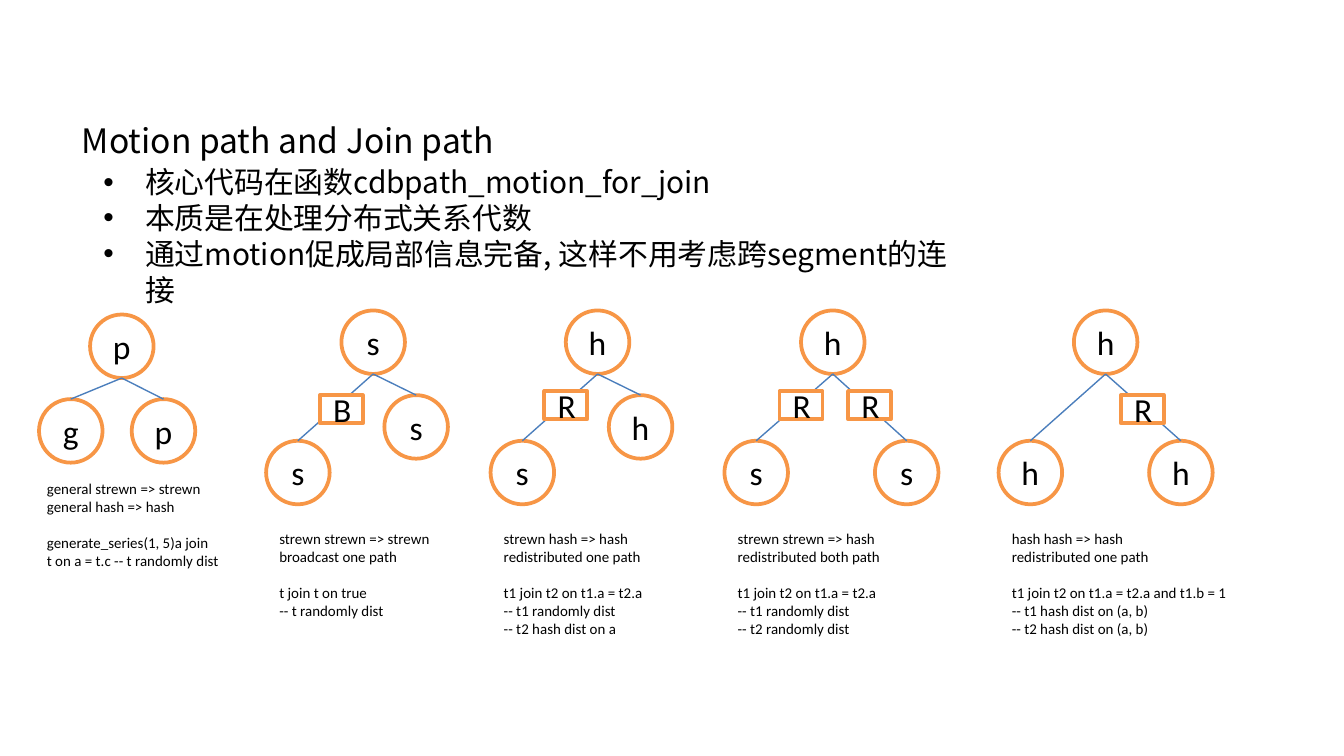
from dataclasses import dataclass

from lxml import etree
from pptx import Presentation
from pptx import util as u
from pptx.dml.color import RGBColor
from pptx.enum import shapes, text
from pptx.oxml.ns import qn

SLIDE_WIDTH = u.Inches(10)
SLIDE_HEIGHT = SLIDE_WIDTH * 9 // 16
CELL = SLIDE_WIDTH // 100
NODE = 4.73
TAG_WIDTH, TAG_HEIGHT = 3.2, 2.1
BLACK, WHITE, ORANGE, BLUE = "000000", "FFFFFF", "F79646", "4B7EBC"
HEADING_FONT, DIAGRAM_FONT = "Noto Sans CJK SC", "Calibri"


@dataclass
class Tree:
    """A join tree: node letters, places in grid cells, motion tags and caption."""
    box: tuple
    letters: str
    root: float
    left: tuple
    right: tuple
    tags: list
    caption: tuple
    blocks: list


TREES = [
    Tree((2.9, 23.4), "pgp", 3.8, (0, 6.3), (6.9, 6.3), [], (-0.4, 11.8, 15.2, 9.1),
         [["general strewn => strewn", "general hash => hash"],
          ["generate_series(1, 5)a join", "t on a = t.c -- t randomly dist"]]),
    Tree((19.8, 23.1), "sss", 5.6, (0, 9.7), (8.8, 6.3), [("B", 4, 6.3)], (0, 15.8, 14, 7.7),
         [["strewn strewn => strewn", "broadcast one path"],
          ["t join t on true", "-- t randomly dist"]]),
    Tree((36.5, 23.1), "hsh", 5.6, (0, 9.7), (8.8, 6.3), [("R", 4, 6)], (0, 15.8, 14, 9.1),
         [["strewn hash => hash", "redistributed one path"],
          ["t1 join t2 on t1.a = t2.a", "-- t1 randomly dist", "-- t2 hash dist on a"]]),
    Tree((53.9, 23.1), "hss", 5.7, (0, 9.7), (11.2, 9.7), [("R", 4.1, 6), ("R", 9.2, 6)],
         (0, 15.8, 14, 9.1),
         [["strewn strewn => hash", "redistributed both path"],
          ["t1 join t2 on t1.a = t2.a", "-- t1 randomly dist", "-- t2 randomly dist"]]),
    Tree((74.3, 23.1), "hhh", 5.6, (0, 9.7), (11.2, 9.7), [("R", 9.1, 6.3)],
         (0, 15.8, 19, 9.1),
         [["hash hash => hash", "redistributed one path"],
          ["t1 join t2 on t1.a = t2.a and t1.b = 1", "-- t1 hash dist on (a, b)",
           "-- t2 hash dist on (a, b)"]]),
]


def color(value):
    """Turn a hex string into a colour."""
    return RGBColor.from_string(value)


def cells(*lengths):
    """Turn grid cells into slide lengths."""
    return [round(length * CELL) for length in lengths]


def place(shape, left, top, width, height):
    """Move a shape to a box given in grid cells."""
    shape.left, shape.top, shape.width, shape.height = cells(left, top, width, height)


def write(frame, blocks, size, font, align=text.PP_ALIGN.LEFT, spacing=1.0, gap=0, bullet=None):
    """Write blocks of lines, one paragraph a line, with a gap between blocks."""
    first = True
    for block in blocks:
        for number, line in enumerate(block):
            paragraph = frame.paragraphs[0] if first else frame.add_paragraph()
            paragraph.alignment, paragraph.line_spacing = align, spacing
            paragraph.space_before = u.Pt(0 if first or number else gap)
            if bullet:
                properties = paragraph._p.get_or_add_pPr()
                properties.set("marL", str(u.Inches(0.31)))
                properties.set("indent", str(-u.Inches(0.31)))
                etree.SubElement(properties, qn("a:buFont")).set("typeface", "Arial")
                etree.SubElement(properties, qn("a:buChar")).set("char", bullet)
            run = paragraph.add_run()
            run.text = line
            run.font.size, run.font.name = u.Pt(size), font
            run.font.color.rgb = color(BLACK)
            east_asian = etree.Element(qn("a:ea"), typeface=font)
            run._r.rPr.find(qn("a:latin")).addnext(east_asian)
            first = False


def add_heading(slide, left, top):
    """Fill the title and body placeholders at the given grid cell."""
    title, body = slide.shapes.title, slide.placeholders[1]
    place(title, left, top, 34.6, 4.8)
    place(body, left + 1.6, top + 4.8, 65.4, 9.1)
    for shape, wrap in ((title, False), (body, True)):
        frame = shape.text_frame
        frame.word_wrap, frame.auto_size = wrap, text.MSO_AUTO_SIZE.NONE
        frame.vertical_anchor = text.MSO_ANCHOR.TOP
    write(title.text_frame, [["Motion path and Join path"]], 18, HEADING_FONT, spacing=1.5)
    write(body.text_frame, [["核心代码在函数cdbpath_motion_for_join", "本质是在处理分布式关系代数",
                             "通过motion促成局部信息完备, 这样不用考虑跨segment的连接"]],
          16, HEADING_FONT, bullet="•")


def add_label(slide, kind, letter, *box):
    """Draw an outlined shape with a centred letter."""
    shape = slide.shapes.add_shape(kind, *cells(*box))
    shape.shadow.inherit = False
    shape.fill.solid()
    shape.fill.fore_color.rgb = color(WHITE)
    shape.line.color.rgb, shape.line.width = color(ORANGE), u.Pt(2)
    shape.text_frame.vertical_anchor = text.MSO_ANCHOR.MIDDLE
    write(shape.text_frame, [[letter]], 18, DIAGRAM_FONT, align=text.PP_ALIGN.CENTER)


def add_branch(slide, *ends):
    """Draw a thin line between two points."""
    line = slide.shapes.add_connector(shapes.MSO_CONNECTOR.STRAIGHT, *cells(*ends))
    line.line.color.rgb, line.line.width = color(BLUE), u.Pt(0.75)
    etree.SubElement(line._element.spPr, qn("a:effectLst"))


def add_tree(slide, tree):
    """Draw one join tree with its tags and caption inside its box."""
    left, top = tree.box
    nodes = [(tree.root, 0), tree.left, tree.right]
    for letter, (x, y) in zip(tree.letters, nodes):
        add_label(slide, shapes.MSO_SHAPE.OVAL, letter, left + x, top + y, NODE, NODE)
    for x, y in nodes[1:]:
        add_branch(slide, left + tree.root + NODE / 2, top + NODE, left + x + NODE / 2, top + y)
    for letter, x, y in tree.tags:
        add_label(slide, shapes.MSO_SHAPE.RECTANGLE, letter, left + x, top + y,
                  TAG_WIDTH, TAG_HEIGHT)
    x, y, width, height = tree.caption
    caption = slide.shapes.add_textbox(*cells(left + x, top + y, width, height))
    caption.text_frame.word_wrap = True
    write(caption.text_frame, tree.blocks, 8, DIAGRAM_FONT, gap=9.75)


def main():
    """Build and save the slide."""
    presentation = Presentation()
    presentation.slide_width, presentation.slide_height = SLIDE_WIDTH, SLIDE_HEIGHT
    slide = presentation.slides.add_slide(presentation.slide_layouts[1])
    add_heading(slide, 5.1, 6.9)
    for tree in TREES:
        add_tree(slide, tree)
    presentation.save("out.pptx")


if __name__ == "__main__":
    main()
